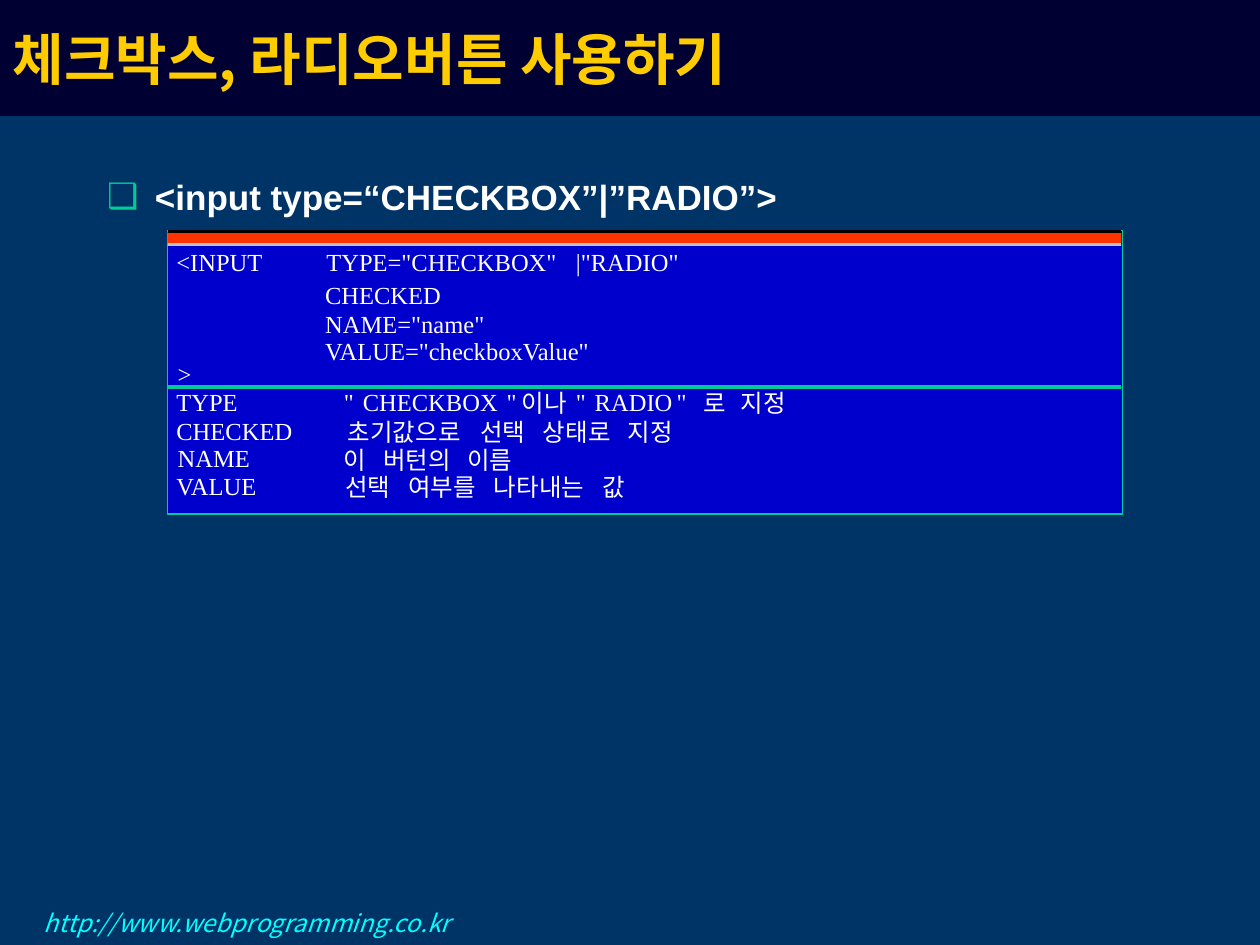
from lxml import etree
from pptx import Presentation
from pptx import util as u
from pptx.dml.color import RGBColor
from pptx.enum import shapes, text
from pptx.oxml.ns import qn

# Content
TITLE = "체크박스, 라디오버튼 사용하기"
HEADING = "<input type=“CHECKBOX”|”RADIO”>"
SITE = "http://www.webprogramming.co.kr"
# Each row: top, then (left, wording) pieces
SYNTAX = [
    (1.96, [(1.4, "<INPUT"), (2.59, 'TYPE="CHECKBOX"'), (4.57, "|"), (4.61, '"RADIO"')]),
    (2.22, [(2.58, "CHECKED")]),
    (2.45, [(2.58, 'NAME="name"')]),
    (2.67, [(2.58, 'VALUE="checkboxValue"')]),
    (2.85, [(1.41, ">")]),
]
ATTRIBUTES = [
    (3.07, [(1.4, "TYPE"), (2.73, '"'), (2.88, "CHECKBOX"), (4.02, '"'), (4.14, "이나"),
            (4.57, '"'), (4.72, "RADIO"), (5.37, '"'), (5.58, "로"), (5.88, "지정")]),
    (3.3, [(1.4, "CHECKED"), (2.76, "초기값으로"), (3.81, "선택"), (4.31, "상태로"), (4.98, "지정")]),
    (3.52, [(1.41, "NAME"), (2.73, "이"), (3.04, "버턴의"), (3.71, "이름")]),
    (3.74, [(1.4, "VALUE"), (2.74, "선택"), (3.24, "여부를"), (3.92, "나타내는"), (4.78, "값")]),
]

COLORS = {
    "page": "003366", "banner": "000032", "title": "FFCC00", "site": "00FFFF",
    "panel": "0000CC", "edge": "00CC99", "bar": "FF3300", "silver": "C0C0C0",
    "black": "000000", "white": "FFFFFF",
}
KOREAN, LATIN, SANS = "Noto Sans CJK KR", "Times New Roman", "Arial"
PANEL_LEFT, PANEL_RIGHT = 1.33, 8.9
DIVIDER_TOP = 3.07

prs = Presentation()
prs.slide_width, prs.slide_height = u.Inches(10), u.Inches(7.5)
slide = prs.slides.add_slide(prs.slide_layouts[1])


def rgb(name):
    return RGBColor.from_string(COLORS[name])


def place(shape, left, top, width, height):
    shape.left, shape.top = u.Inches(left), u.Inches(top)
    shape.width, shape.height = u.Inches(width), u.Inches(height)


def write(shape, wording, face, size, color, bold=False, italic=False):
    paragraph = shape.text_frame.paragraphs[0]
    paragraph.text = wording
    paragraph.alignment = text.PP_ALIGN.LEFT
    font = paragraph.runs[0].font
    font.name, font.size = face, u.Pt(size)
    font.bold, font.italic = bold, italic
    font.color.rgb = rgb(color)
    # East Asian letters need their own typeface entry
    east_asian = etree.Element(qn("a:ea"), typeface=face)
    font._element.find(qn("a:latin")).addnext(east_asian)


def textbox(left, top, width, height, wording, face, **look):
    box = slide.shapes.add_textbox(*map(u.Inches, (left, top, width, height)))
    write(box, wording, face, 14, **look)
    return box


def rectangle(left, top, width, height, fill, edge=None):
    rect = slide.shapes.add_shape(
        shapes.MSO_SHAPE.RECTANGLE, *map(u.Inches, (left, top, width, height)))
    rect.shadow.inherit = False
    rect.fill.solid()
    rect.fill.fore_color.rgb = rgb(fill)
    if edge:
        rect.line.color.rgb = rgb(edge)
        rect.line.width = u.Pt(0.75)
    else:
        rect.line.fill.background()


def hairline(left, right, top, color):
    line = slide.shapes.add_connector(
        shapes.MSO_CONNECTOR.STRAIGHT, *map(u.Inches, (left, top, right, top)))
    line.line.color.rgb = rgb(color)
    line.line.width = u.Pt(0)
    etree.SubElement(line._element.spPr, qn("a:effectLst"))


def write_rows(rows):
    for top, pieces in rows:
        for left, wording in pieces:
            korean = "가" <= wording[0] <= "힣"
            face, drop = (KOREAN, 0.01) if korean else (LATIN, 0)
            width = len(wording) * (0.19 if korean else 0.15)
            box = textbox(left, top + drop, width, 0.23, wording, face, color="white")
            frame = box.text_frame
            frame.margin_left = frame.margin_right = 0
            frame.margin_top = frame.margin_bottom = 0
            frame.word_wrap = False
            frame.auto_size = text.MSO_AUTO_SIZE.NONE


# Background and site address
slide.background.fill.solid()
slide.background.fill.fore_color.rgb = rgb("page")
site = textbox(0.25, 7.16, 3.92, 0.33, SITE, KOREAN, color="site", italic=True)
site.text_frame.word_wrap = True

# Title banner
title = slide.shapes.title
place(title, 0, 0, 10, 0.92)
title.fill.solid()
title.fill.fore_color.rgb = rgb("banner")
title.text_frame.auto_size = text.MSO_AUTO_SIZE.NONE
title.text_frame.vertical_anchor = text.MSO_ANCHOR.MIDDLE
write(title, TITLE, KOREAN, 32, "title", bold=True)

# Bulleted heading
body = slide.placeholders[1]
place(body, 0.75, 1.34, 8.5, 5.33)
body.text_frame.auto_size = text.MSO_AUTO_SIZE.NONE
heading = body.text_frame.paragraphs[0]
props = heading._p.get_or_add_pPr()
props.set("marL", str(u.Inches(0.38)))
props.set("indent", str(u.Inches(-0.38)))
bullet_color = etree.SubElement(props, qn("a:buClr"))
etree.SubElement(bullet_color, qn("a:srgbClr"), val=COLORS["edge"])
etree.SubElement(props, qn("a:buChar"), char="❑")
heading.space_before = u.Pt(0)
write(body, HEADING, SANS, 20, "white", bold=True)

# Panel with syntax
rectangle(PANEL_LEFT, 1.83, 7.58, 2.25, "panel", "edge")
write_rows(SYNTAX)

# Bar along the top of the panel
bar_width = PANEL_RIGHT - PANEL_LEFT
rectangle(PANEL_LEFT, 1.84, bar_width, 0.01, "black")
hairline(PANEL_LEFT, PANEL_RIGHT, 1.84, "black")
rectangle(PANEL_LEFT, 1.85, bar_width, 0.08, "bar")
rectangle(PANEL_LEFT, 1.94, bar_width, 0.01, "silver")
hairline(PANEL_LEFT, PANEL_RIGHT, 1.94, "silver")

# Attribute descriptions
write_rows(ATTRIBUTES)

# Divider in three lengths
for left, right in [(PANEL_LEFT, 2.65), (2.65, 2.66), (2.66, PANEL_RIGHT)]:
    rectangle(left, DIVIDER_TOP, right - left, 0.01, "edge")
    hairline(left, right, DIVIDER_TOP, "edge")

prs.save("out.pptx")
